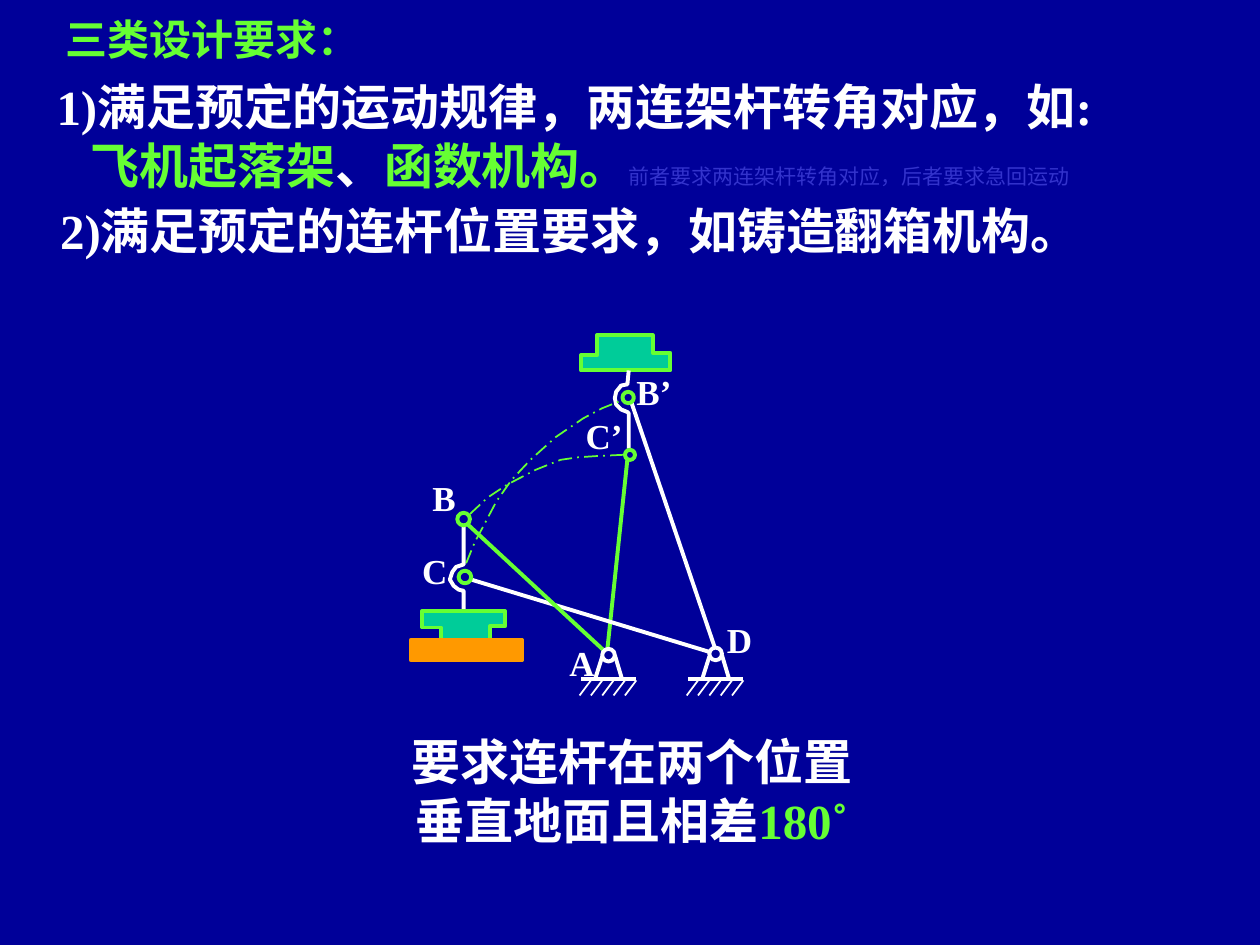
from lxml import etree
from pptx import Presentation
from pptx.dml.color import RGBColor
from pptx.enum.dml import MSO_LINE
from pptx.enum.lang import MSO_LANGUAGE_ID
from pptx.enum.shapes import MSO_CONNECTOR, MSO_SHAPE
from pptx.enum.text import PP_ALIGN
from pptx.oxml.ns import qn
from pptx.util import Inches, Pt

STRAIGHT = MSO_CONNECTOR.STRAIGHT
OVAL, RECTANGLE = MSO_SHAPE.OVAL, MSO_SHAPE.RECTANGLE
LONG_DASH_DOT = MSO_LINE.LONG_DASH_DOT
CHINESE = MSO_LANGUAGE_ID.SIMPLIFIED_CHINESE
CENTER, JUSTIFY = PP_ALIGN.CENTER, PP_ALIGN.JUSTIFY

COLORS = {
    "navy": "000099", "white": "FFFFFF", "green": "66FF33",
    "teal": "00CC99", "orange": "FF9900", "remark": "3333CC",
}
RGB = {name: RGBColor.from_string(value) for name, value in COLORS.items()}
THICK, THIN = 2.25, 1

prs = Presentation()
prs.slide_width, prs.slide_height = Inches(10), Inches(7.5)
slide = prs.slides.add_slide(prs.slide_layouts[6])
slide.background.fill.solid()
slide.background.fill.fore_color.rgb = RGB["navy"]
shapes = slide.shapes


def add_text(box, paragraphs, size, align, margins=(0.1, 0.05), wrap=True):
    """Each paragraph is (left indent, runs); a run is (text, color[, plain size])."""
    frame = shapes.add_textbox(*map(Inches, box)).text_frame
    frame.word_wrap = wrap
    frame.margin_left = frame.margin_right = Inches(margins[0])
    frame.margin_top = frame.margin_bottom = Inches(margins[1])
    for i, (indent, runs) in enumerate(paragraphs):
        paragraph = frame.add_paragraph() if i else frame.paragraphs[0]
        paragraph.alignment = align
        if indent:
            paragraph._p.get_or_add_pPr().set("marL", str(Inches(indent)))
        for text, color, *plain_size in runs:
            run = paragraph.add_run()
            run.text = text
            run.font.name = "Times New Roman"
            run.font.size = Pt(plain_size[0] if plain_size else size)
            run.font.bold = not plain_size
            run.font.color.rgb = RGB[color]
            run.font.language_id = CHINESE


def paint(shape, fill, line, width=THICK):
    shape.shadow.inherit = False
    if fill:
        shape.fill.solid()
        shape.fill.fore_color.rgb = RGB[fill]
    else:
        shape.fill.background()
    shape.line.color.rgb = RGB[line]
    shape.line.width = Pt(width)


# Heading and requirements
add_text((0.42, 0.06, 2.75, 0.5), [(0, [("三类设计要求：", "green")])], 24, JUSTIFY)
add_text((0.35, 0.56, 9.15, 1.04), [
    (0, [("1)满足预定的运动规律，两连架杆转角对应，如:", "white")]),
    (0.27, [("飞机起落架", "green"), ("、", "white"), ("函数机构。", "green"),
            ("前者要求两连架杆转角对应，后者要求急回运动", "remark", 12)]),
], 28, JUSTIFY)
add_text((0.38, 1.54, 8.67, 0.57),
         [(0, [("2)满足预定的连杆位置要求，如铸造翻箱机构。", "white")])], 28, JUSTIFY)
add_text((3.12, 5.76, 3.79, 1.04),
         [(0, [("要求连杆在两个位置垂直地面且相差", "white"), ("180˚", "green")])],
         28, CENTER)

# Mould boxes and couplers in the upper and lower positions, in 1/100 inch
upper_box = [(474, 282), (474, 266), (518, 266), (518, 280), (532, 280),
             (532, 294), (461, 294), (461, 282)]
upper_coupler = [(499, 294), (498, 305), (493, 306), (489, 311), (488, 316),
                 (489, 321), (493, 325), (498, 327), (499, 328), (499, 356)]
lower_coupler = [(368, 418), (368, 448), (362, 450), (359, 454), (357, 460),
                 (360, 465), (364, 468), (368, 469), (368, 485)]
lower_box = [(350, 498), (335, 498), (335, 485), (401, 485), (401, 497),
             (389, 497), (389, 508), (414, 508), (414, 524), (328, 524),
             (328, 509), (350, 509)]
# Paths travelled by the two joints
c_path = [(370, 447), (377, 430), (384, 417), (394, 398), (406, 381),
          (421, 365), (441, 347), (463, 332), (478, 324), (493, 318)]
b_path = [(373, 408), (387, 395), (402, 385), (425, 373), (445, 365),
          (459, 363), (474, 362), (495, 361)]

for points, closed, fill, line, width in [
    (upper_box, True, "teal", "green", THICK),
    (upper_coupler, False, None, "white", THICK),
    (c_path, False, None, "green", THIN),
    (b_path, False, None, "green", THIN),
    (lower_coupler, False, None, "white", THICK),
    (lower_box, True, "teal", "green", THICK),
]:
    builder = shapes.build_freeform(*points[0], scale=Inches(0.01))
    builder.add_line_segments(points[1:], close=closed)
    outline = builder.convert_to_shape()
    paint(outline, fill, line, width)
    if width == THIN:
        outline.line.dash_style = LONG_DASH_DOT

# Ground under the lower mould box
ground = shapes.add_shape(RECTANGLE, *map(Inches, (3.26, 5.08, 0.88, 0.16)))
paint(ground, "orange", "orange")

# Cranks, then the hatched supports at A and D
bars = [
    (4.98, 3.64, 4.82, 5.16, "green", THICK),
    (5.01, 3.19, 5.68, 5.16, "white", THICK),
    (3.74, 4.6, 5.65, 5.18, "white", THICK),
    (3.71, 4.16, 4.79, 5.16, "green", THICK),
]
for pivot in (4.83, 5.68):
    bars += [
        (pivot - 0.05, 5.21, pivot - 0.11, 5.4, "white", THICK),
        (pivot + 0.05, 5.2, pivot + 0.11, 5.4, "white", THICK),
        (pivot - 0.22, 5.39, pivot + 0.22, 5.39, "white", THICK),
    ]
    for i in range(5):
        hatch = pivot - 0.14 + 0.09 * i
        bars.append((hatch, 5.4, hatch - 0.09, 5.52, "white", THIN))
for *ends, color, width in bars:
    bar = shapes.add_connector(STRAIGHT, *map(Inches, ends))
    bar.line.color.rgb = RGB[color]
    bar.line.width = Pt(width)
    etree.SubElement(bar._element.spPr, qn("a:effectLst"))

# Joints
for left, top, size, fill, line in [
    (4.94, 3.11, 0.09, None, "green"),
    (4.96, 3.57, 0.08, None, "green"),
    (3.64, 4.53, 0.1, "navy", "green"),
    (3.63, 4.07, 0.1, "navy", "green"),
    (4.78, 5.15, 0.1, "navy", "white"),
    (5.63, 5.14, 0.1, "navy", "white"),
]:
    joint = shapes.add_shape(OVAL, *map(Inches, (left, top, size, size)))
    paint(joint, fill, line)

# Joint letters
for letter, left, top, width in [
    ("B’", 5.03, 2.94, 0.32), ("C’", 4.63, 3.29, 0.33), ("A", 4.52, 5.09, 0.2),
    ("B", 3.43, 3.78, 0.19), ("D", 5.77, 4.91, 0.2), ("C", 3.35, 4.36, 0.2),
]:
    add_text((left, top, width, 0.33), [(0, [(letter, "white")])], 20, CENTER,
             margins=(0, 0), wrap=False)

prs.save("out.pptx")
